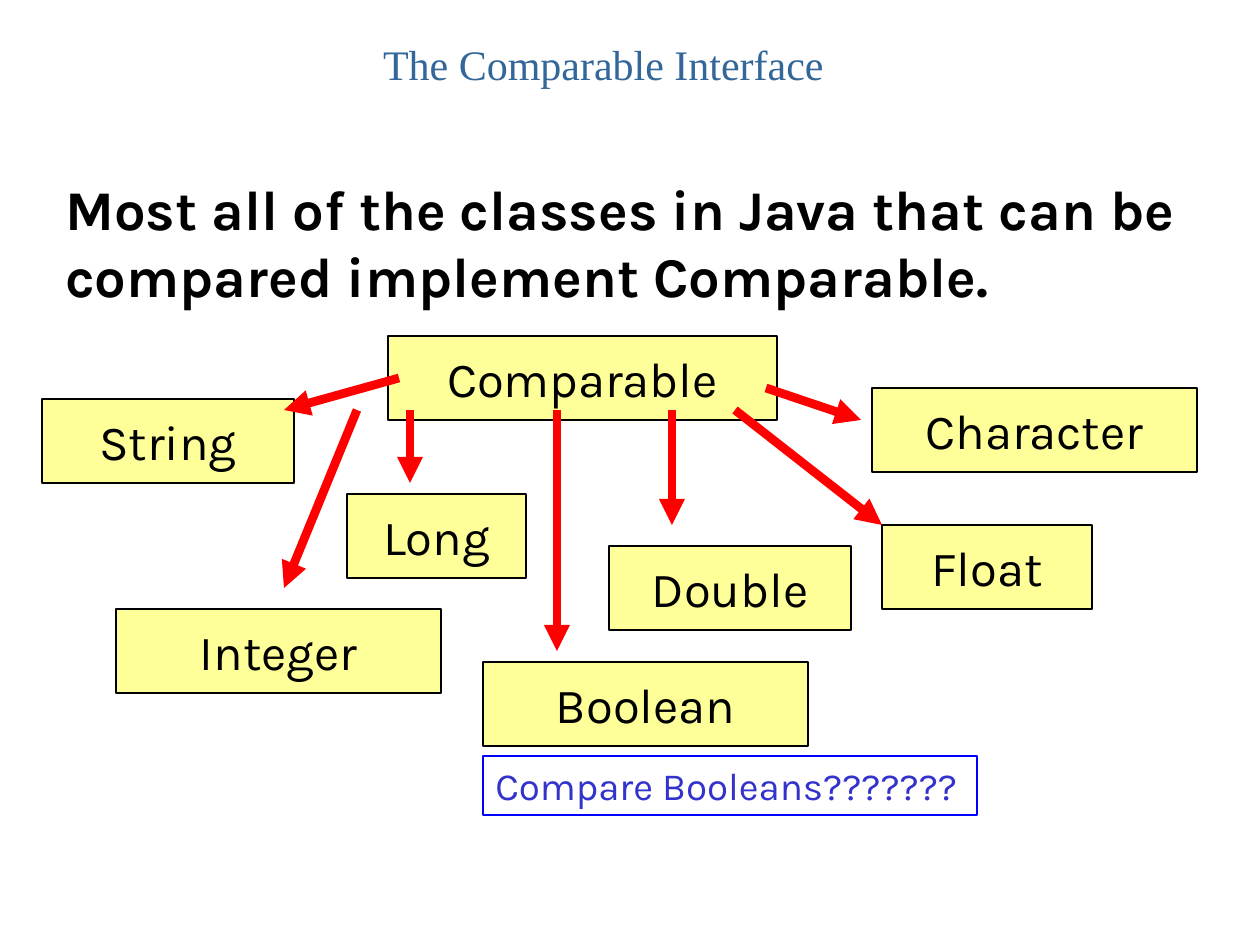
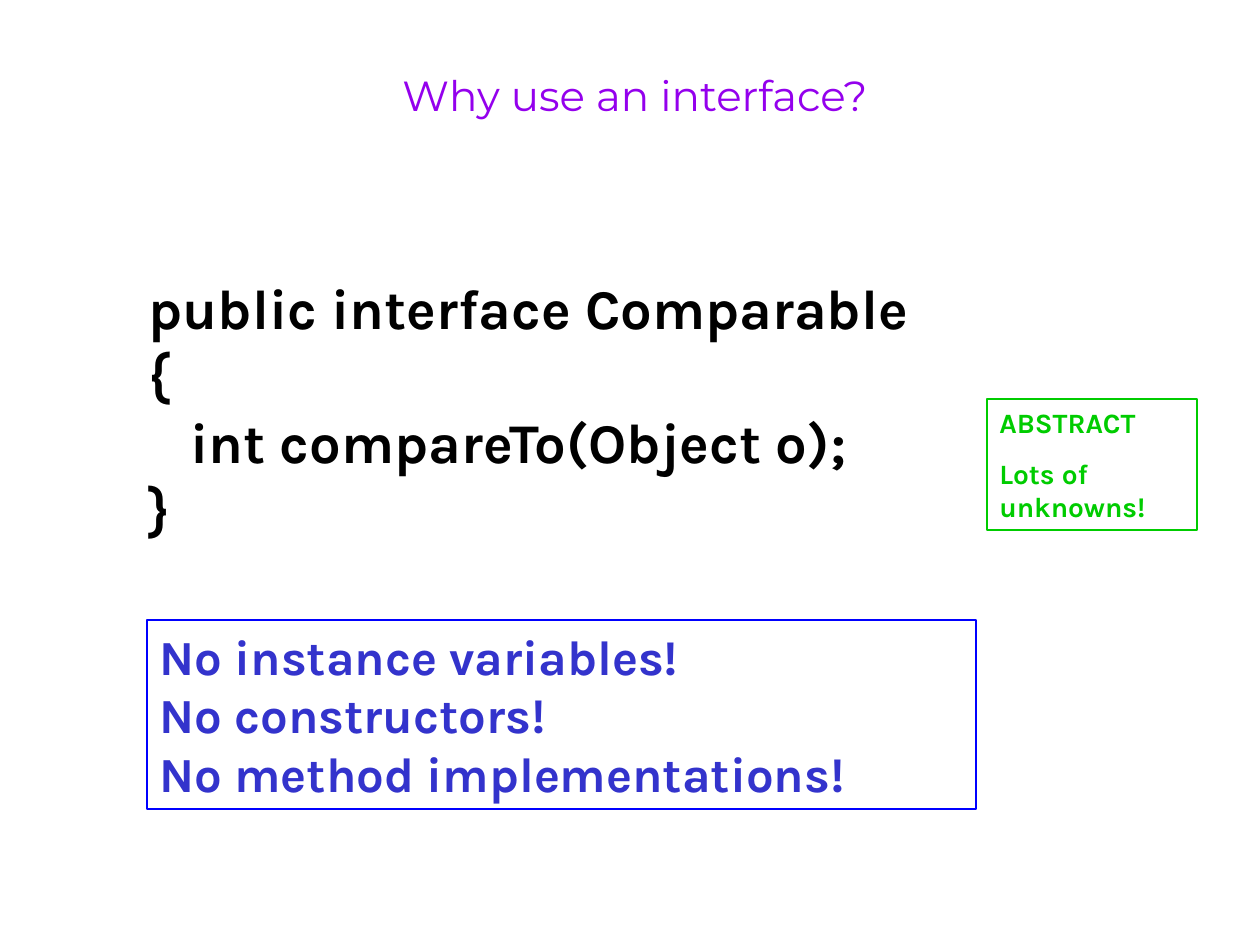
"""Build two slides about the Comparable interface."""
import lxml.etree
import pptx
import pptx.dml.color
import pptx.enum.shapes
import pptx.enum.text
import pptx.oxml.ns
import pptx.util

PX = 914400 / 126
BODY_FONT = "Karla"
BLACK, RED, YELLOW = "000000", "FF0000", "FFFF99"
BLUE, INDIGO, GREEN = "0000FF", "3333CC", "00CC00"
CENTER = pptx.enum.text.PP_ALIGN.CENTER
LEFT = pptx.enum.text.PP_ALIGN.LEFT

TYPE_HEIGHT = 84
TYPES = [
    ("Comparable", 388, 336, 389),
    ("String", 42, 399, 252),
    ("Integer", 116, 609, 325),
    ("Double", 609, 546, 242),
    ("Float", 882, 525, 210),
    ("Character", 872, 388, 325),
    ("Long", 347, 494, 179),
    ("Boolean", 483, 662, 325),
]
ARROWS = {
    "String": (399, 378, 284, 410),
    "Integer": (357, 410, 284, 588),
    "Long": (410, 410, 410, 483),
    "Boolean": (557, 410, 557, 651),
    "Double": (672, 410, 672, 525),
    "Float": (735, 410, 882, 525),
    "Character": (766, 388, 861, 420),
}
COMPARABLE_TITLE = dict(lines=["The Comparable Interface"], at=(189, 32, 829, 84),
                        size=24, color="336699", font="Times New Roman", align=CENTER)
WHY_TITLE = dict(lines=["Why use an interface?"], at=(126, 63, 1018, 116),
                 size=24, color="9400ED", font="Montserrat", align=CENTER)
STATEMENT = dict(
    lines=["Most all of the classes in Java that can be compared implement Comparable."],
    at=(53, 168, 1144, 147), size=32, bold=True, before=20)
QUESTION = dict(lines=["Compare Booleans???????"], at=(483, 756, 494, 59),
                size=22, color=INDIGO, border=BLUE)
CODE = dict(lines=["public interface Comparable", "{", "int compareTo(Object o);", "}"],
            at=(136, 267, 834, 282), size=32, bold=True, indents={2: 42})
LIMITS = dict(
    lines=["No instance variables!", "No constructors!", "No method implementations!"],
    at=(147, 620, 829, 189), size=28, color=INDIGO, bold=True, border=BLUE)
ABSTRACT = dict(lines=["ABSTRACT", "Lots of unknowns!"], at=(987, 399, 210, 131),
                size=16, color=GREEN, bold=True, border=GREEN, before=10)


def emu(*lengths):
    return [round(length * PX) for length in lengths]


def rgb(code):
    return pptx.dml.color.RGBColor.from_string(code)


def add_words(slide, lines, at, size, color=BLACK, font=BODY_FONT, bold=False, align=LEFT,
              border=None, fill=None, before=0, indents=None, middle=False):
    if border:
        box = slide.shapes.add_shape(pptx.enum.shapes.MSO_SHAPE.RECTANGLE, *emu(*at))
        box.shadow.inherit = False
        box.line.color.rgb = rgb(border)
        box.line.width = pptx.util.Pt(0.75)
        if fill:
            box.fill.solid()
            box.fill.fore_color.rgb = rgb(fill)
        else:
            box.fill.background()
    else:
        box = slide.shapes.add_textbox(*emu(*at))
    frame = box.text_frame
    anchor = pptx.enum.text.MSO_ANCHOR
    frame.vertical_anchor = anchor.MIDDLE if middle else anchor.TOP
    frame.word_wrap = True
    frame.text = "\n".join(lines)
    for index, paragraph in enumerate(frame.paragraphs):
        paragraph.alignment = align
        paragraph.space_before = pptx.util.Pt(before)
        if indents and index in indents:
            paragraph._p.get_or_add_pPr().set("marL", str(emu(indents[index])[0]))
        for run in paragraph.runs:
            run.font.name = font
            run.font.size = pptx.util.Pt(size)
            run.font.bold = bold
            run.font.color.rgb = rgb(color)


def add_arrow(slide, ends):
    arrow = slide.shapes.add_connector(pptx.enum.shapes.MSO_CONNECTOR.STRAIGHT, *emu(*ends))
    arrow.line.color.rgb = rgb(RED)
    arrow.line.width = pptx.util.Pt(5)
    outline = arrow.line._get_or_add_ln()
    lxml.etree.SubElement(outline, pptx.oxml.ns.qn("a:tailEnd"), type="triangle")
    lxml.etree.SubElement(arrow._element.spPr, pptx.oxml.ns.qn("a:effectLst"))


def main():
    deck = pptx.Presentation()
    deck.slide_width, deck.slide_height = emu(1260, 945)
    blank = deck.slide_layouts[6]

    hierarchy = deck.slides.add_slide(blank)
    for words in (COMPARABLE_TITLE, STATEMENT, QUESTION):
        add_words(hierarchy, **words)
    for name, left, top, width in TYPES:
        add_words(hierarchy, [name], (left, top, width, TYPE_HEIGHT), 28,
                  align=CENTER, border=BLACK, fill=YELLOW, middle=True)
    for ends in ARROWS.values():
        add_arrow(hierarchy, ends)

    reasons = deck.slides.add_slide(blank)
    for words in (WHY_TITLE, CODE, LIMITS, ABSTRACT):
        add_words(reasons, **words)

    deck.save("out.pptx")


if __name__ == "__main__":
    main()
